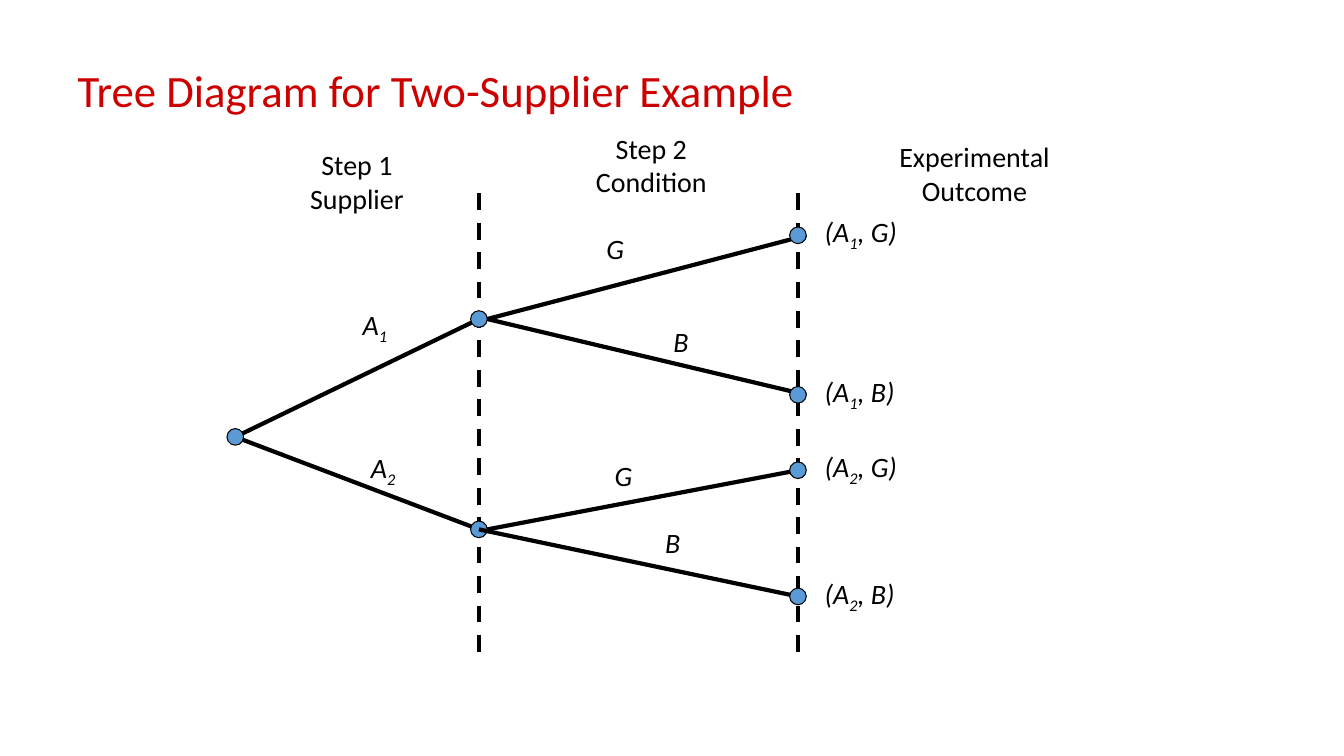
from dataclasses import dataclass

from lxml.etree import SubElement
from pptx import Presentation
from pptx.dml.color import RGBColor as RGB
from pptx.enum.dml import MSO_LINE as Dash
from pptx.enum.shapes import MSO_CONNECTOR as Conn, MSO_SHAPE as Geo
from pptx.enum.text import MSO_ANCHOR as Anchor, MSO_AUTO_SIZE as Fit, PP_ALIGN as Align
from pptx.oxml.ns import qn
from pptx.util import Cm, Pt


@dataclass(frozen=True)
class Theme:
    font: str = "Calibri"
    red: RGB = RGB(0xCD, 0x00, 0x00)
    ink: RGB = RGB(0x00, 0x00, 0x00)
    blue: RGB = RGB(0x5B, 0x9B, 0xD5)
    head: Pt = Pt(32)
    text: Pt = Pt(20)
    branch: Pt = Pt(3)
    rim: Pt = Pt(0.75)


@dataclass(frozen=True)
class Box:
    left: float
    top: float
    width: float
    height: float

    def spot(self, x, y):
        return self.left + x, self.top + y


THEME = Theme()
RADIUS = 0.21
LABEL_HIGH = 1.1
ROOT_Y = 6.14
STEP_X = 6.14

HEADS = [
    ("Step 1\vSupplier", 0, 0.42, 5.29),
    ("Step 2\vCondition", 7.42, 0, 5.29),
    ("Experimental\vOutcome", 14.61, 0.21, 7.2),
]

# name, node y, label x, label y, outcome width, outcomes
SUPPLIERS = [
    ("A_1", 3.17, 2.96, 2.75, 2.75, [
        ("G", 1.06, 9.1, 0.85, RADIUS, RADIUS),
        ("B", 5.08, 10.79, 3.17, RADIUS, RADIUS),
    ]),
    ("A_2", 8.47, 3.17, 6.35, 3.6, [
        ("G", 6.98, 9.31, 6.56, RADIUS, 0),
        ("B", 10.16, 10.58, 8.25, 0, 0),
    ]),
]


def style(font, size, color, italic=False):
    font.name = THEME.font
    font.size = size
    font.color.rgb = color
    font.italic = italic


def add_line(slide, start, end, dash=None):
    line = slide.shapes.add_connector(Conn.STRAIGHT, *map(Cm, start + end))
    line.line.color.rgb = THEME.ink
    line.line.width = THEME.branch
    if dash:
        line.line.dash_style = dash
    SubElement(line._element.spPr, qn("a:effectLst"))


def add_dot(slide, center):
    x, y = center
    size = Cm(2 * RADIUS)
    dot = slide.shapes.add_shape(Geo.OVAL, Cm(x - RADIUS), Cm(y - RADIUS), size, size)
    dot.shadow.inherit = False
    dot.fill.solid()
    dot.fill.fore_color.rgb = THEME.blue
    dot.line.color.rgb = THEME.ink
    dot.line.width = THEME.rim


def add_text(slide, spot, width, height):
    frame = slide.shapes.add_textbox(*map(Cm, (*spot, width, height))).text_frame
    frame.word_wrap = True
    frame.auto_size = Fit.SHAPE_TO_FIT_TEXT
    return frame


def add_label(slide, spot, width, text):
    para = add_text(slide, spot, width, LABEL_HIGH).paragraphs[0]
    for i, part in enumerate(text.split("_")):
        run = para.add_run()
        run.text = part
        style(run.font, THEME.text, THEME.ink, italic=True)
        if i % 2:
            run._r.get_or_add_rPr().set("baseline", "-25000")


def add_title(slide, box):
    title = slide.shapes.title
    title.left, title.top = Cm(box.left), Cm(box.top)
    title.width, title.height = Cm(box.width), Cm(box.height)
    frame = title.text_frame
    frame.text = "Tree Diagram for Two-Supplier Example"
    frame.auto_size = Fit.NONE
    frame.vertical_anchor = Anchor.MIDDLE
    para = frame.paragraphs[0]
    para.alignment = Align.LEFT
    para.line_spacing = 0.9
    style(para.runs[0].font, THEME.head, THEME.red)


def add_heads(slide, box):
    for text, x, y, width in HEADS:
        frame = add_text(slide, box.spot(x, y), width, 1.96)
        frame.text = text
        para = frame.paragraphs[0]
        para.alignment = Align.CENTER
        for run in para.runs:
            style(run.font, THEME.text, THEME.ink)


def add_tree(slide, box):
    root = box.spot(0, ROOT_Y)
    for x in (STEP_X, box.width):
        add_line(slide, box.spot(x, 0), box.spot(x, box.height), Dash.DASH)
    for _, y, *_ in SUPPLIERS:
        add_line(slide, root, box.spot(STEP_X, y))
    add_dot(slide, root)
    for name, y, x_name, y_name, width, ends in SUPPLIERS:
        add_dot(slide, box.spot(STEP_X, y))
        add_label(slide, box.spot(x_name, y_name), 2.75, name)
        for cond, y_end, x_cond, y_cond, near, far in ends:
            add_line(slide, box.spot(STEP_X + near, y), box.spot(box.width + far, y_end))
            add_dot(slide, box.spot(box.width, y_end))
            add_label(slide, box.spot(x_cond, y_cond), 3.6, cond)
            add_label(slide, box.spot(box.width + 2 * RADIUS, y_end - 0.64),
                      width, f"({name}_, {cond})")


def main():
    deck = Presentation()
    deck.slide_width, deck.slide_height = Cm(33.87), Cm(19.05)
    slide = deck.slides.add_slide(deck.slide_layouts[5])
    add_title(slide, Box(1.7, 0.76, 30.48, 3.18))
    add_tree(slide, Box(5.93, 4.87, 14.18, 11.64))
    add_heads(slide, Box(6.35, 3.18, 21.81, 2.38))
    deck.save("out.pptx")


if __name__ == "__main__":
    main()
